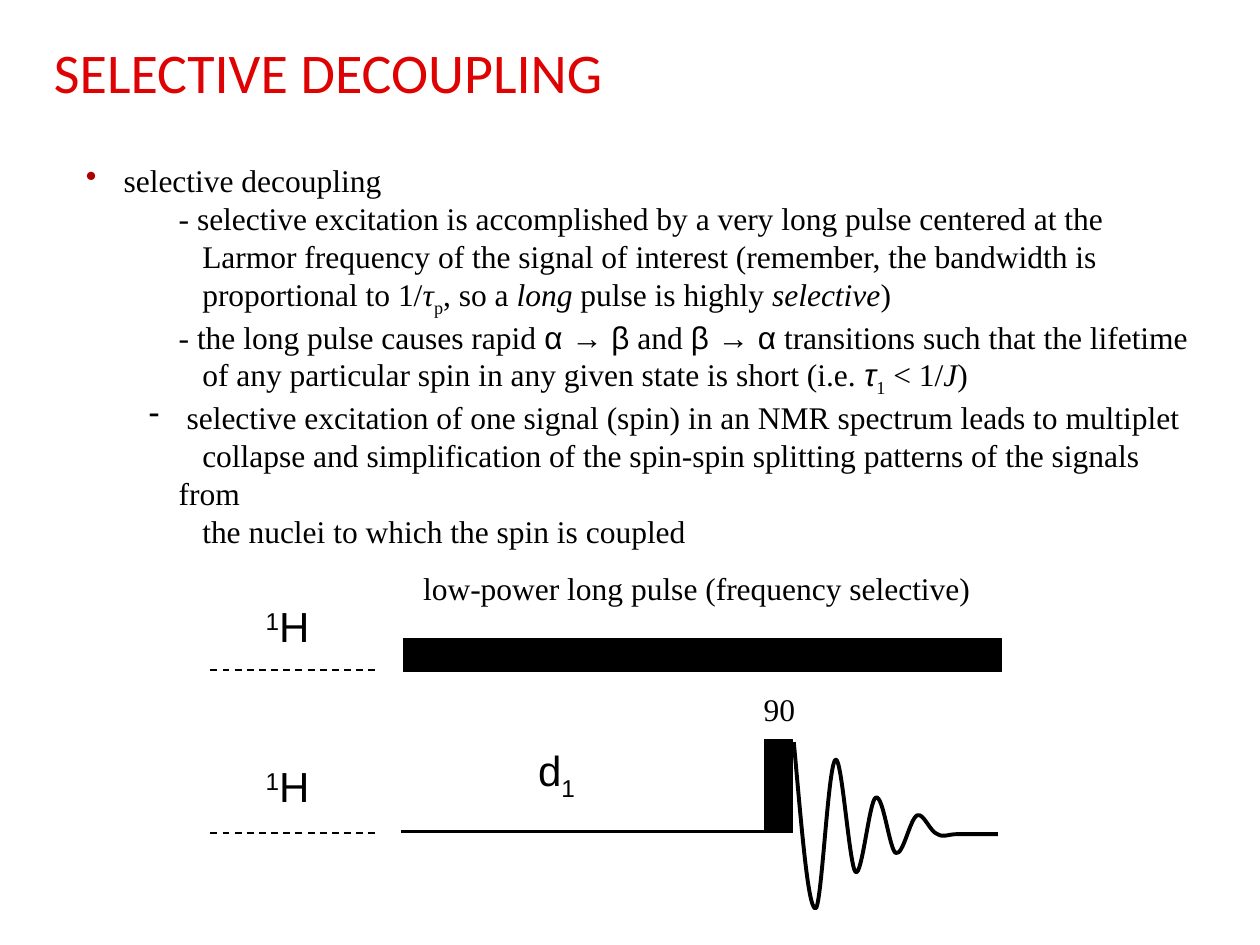
from dataclasses import dataclass

from lxml import etree
from pptx import Presentation
from pptx import util as u
from pptx.dml.color import RGBColor
from pptx.enum import dml, shapes, text
from pptx.oxml import ns

COLS, ROWS = 1000, 750
COLORS = {"title": "DF0202", "bullet": "AE0000", "ink": "000000"}
SERIF, SANS, HEAD = "Times New Roman", "Arial", "Calibri"

prs = Presentation()
prs.slide_width, prs.slide_height = u.Inches(10), u.Inches(7.5)
s = prs.slides.add_slide(prs.slide_layouts[6])


@dataclass(frozen=True)
class Run:
    text: str
    font: str = SERIF
    size: int = 18
    color: str = "ink"
    italic: bool = False
    base: int = 0


@dataclass(frozen=True)
class Para:
    runs: tuple[Run, ...]
    margin: float = 0
    indent: float = 0
    bullet: str = ""
    bullet_color: str = "ink"


@dataclass(frozen=True)
class Box:
    left: int
    top: int
    width: int
    height: int
    paras: tuple[Para, ...]
    inset: tuple[int, int, int, int] = (10, 5, 10, 5)
    wrap: bool = True


@dataclass(frozen=True)
class Line:
    x1: int
    x2: int
    y: int
    weight: float
    dashed: bool = False


@dataclass(frozen=True)
class Pulse:
    left: int
    top: int
    width: int
    height: int


def col(n: float) -> int:
    return round(prs.slide_width * n / COLS)


def row(n: float) -> int:
    return round(prs.slide_height * n / ROWS)


def rgb(name: str) -> RGBColor:
    return RGBColor.from_string(COLORS[name])


def draw_para(p, para: Para) -> None:
    pPr = p._p.get_or_add_pPr()
    pPr.set("marL", str(col(para.margin)))
    pPr.set("indent", str(col(para.indent)))
    if para.bullet:
        clr = etree.SubElement(pPr, ns.qn("a:buClr"))
        etree.SubElement(clr, ns.qn("a:srgbClr"), val=COLORS[para.bullet_color])
        etree.SubElement(pPr, ns.qn("a:buChar"), char=para.bullet)
    for run in para.runs:
        r = p.add_run()
        r.text = run.text
        r.font.name, r.font.size = run.font, u.Pt(run.size)
        r.font.italic = run.italic
        r.font.color.rgb = rgb(run.color)
        if run.base:
            r._r.get_or_add_rPr().set("baseline", str(run.base * 1000))


def draw_box(box: Box) -> None:
    tf = s.shapes.add_textbox(col(box.left), row(box.top), col(box.width), row(box.height)).text_frame
    tf.word_wrap = box.wrap
    tf.auto_size = text.MSO_AUTO_SIZE.NONE
    left, top, right, bottom = box.inset
    tf.margin_left, tf.margin_right = col(left), col(right)
    tf.margin_top, tf.margin_bottom = row(top), row(bottom)
    for i, para in enumerate(box.paras):
        draw_para(tf.add_paragraph() if i else tf.paragraphs[0], para)


def draw_line(line: Line) -> None:
    c = s.shapes.add_connector(shapes.MSO_CONNECTOR.STRAIGHT, col(line.x1), row(line.y), col(line.x2), row(line.y))
    c.line.color.rgb, c.line.width = rgb("ink"), u.Pt(line.weight)
    if line.dashed:
        c.line.dash_style = dml.MSO_LINE.DASH
    etree.SubElement(c._element.spPr, ns.qn("a:effectLst"))


def draw_pulse(pulse: Pulse) -> None:
    sp = s.shapes.add_shape(shapes.MSO_SHAPE.RECTANGLE, col(pulse.left), row(pulse.top), col(pulse.width), row(pulse.height))
    sp.shadow.inherit = False
    sp.fill.solid()
    sp.fill.fore_color.rgb = sp.line.color.rgb = rgb("ink")
    sp.line.width = u.Pt(0.75)


def draw_decay(start: tuple[int, int], points: list[tuple[int, int]]) -> None:
    builder = s.shapes.build_freeform(col(start[0]), row(start[1]))
    builder.add_line_segments([(col(x), row(y)) for x, y in points], close=False)
    sp = builder.convert_to_shape()
    segments = list(sp._element.iter(ns.qn("a:lnTo")))
    outline = segments[0].getparent()
    for i in range(0, len(segments), 3):
        curve = etree.SubElement(outline, ns.qn("a:cubicBezTo"))
        for segment in segments[i:i + 3]:
            curve.append(segment[0])
            outline.remove(segment)
    sp.shadow.inherit = False
    sp.fill.background()
    sp.line.color.rgb, sp.line.width = rgb("ink"), u.Pt(2.25)


def item(*runs: Run) -> Para:
    return Para(runs, 100)


def follow(*runs: Run) -> Para:
    return Para(runs, 100, 18.75)


def label(left: int, top: int, width: int, height: int, *runs: Run, **options) -> Box:
    return Box(left, top, width, height, (Para(runs),), **options)


FLAT = (0, 0, 0, 0)
BODY = (
    Para((Run("selective decoupling"),), 56.25, -30, "•", "bullet"),
    item(Run("- selective excitation is accomplished by a very long pulse centered at the")),
    follow(Run("Larmor frequency of the signal of interest (remember, the bandwidth is")),
    follow(Run("proportional to 1/"), Run("τ", italic=True), Run("p", base=-25), Run(", so a "),
           Run("long", italic=True), Run(" pulse is highly "), Run("selective", italic=True), Run(")")),
    item(Run("- the long pulse causes rapid "), Run("α → β", SANS), Run(" and "), Run("β → α", SANS),
         Run(" transitions such that the lifetime")),
    follow(Run("of any particular spin in any given state is short (i.e. "), Run("τ", SANS, italic=True),
           Run("1", base=-25), Run(" < 1/"), Run("J", italic=True), Run(")")),
    Para((Run("selective excitation of one signal (spin) in an NMR spectrum leads to multiplet"),), 106.25, -30, "-"),
    follow(Run("collapse and simplification of the spin-spin splitting patterns of the signals from")),
    follow(Run("the nuclei to which the spin is coupled")),
)
PROTON = (Run("1", SANS, 24, base=30), Run("H", SANS, 24))
BOXES = [
    Box(32, 93, 936, 348, BODY, inset=(10, 35, 15, 5)),
    label(33, 25, 575, 64, Run("SELECTIVE DECOUPLING", HEAD, 32, "title")),
    label(606, 548, 39, 36, Run("90"), inset=FLAT),
    label(427, 591, 32, 46, Run("d", SANS, 24), Run("1", SANS, 24, base=-25), inset=FLAT),
    *(label(201, top, 55, 50, *PROTON, wrap=False) for top in (472, 599)),
    label(326, 447, 467, 40, Run("low-power long pulse (frequency selective)")),
]
LINES = [Line(318, 628, 660, 2), *(Line(167, 300, y, 1, True) for y in (661, 532))]
PULSES = [Pulse(607, 587, 22, 74), Pulse(320, 507, 475, 26)]
DECAY = [
    (636, 654), (641, 719), (647, 721), (652, 724), (657, 608), (663, 603),
    (668, 598), (674, 687), (679, 692), (684, 697), (690, 635), (695, 633),
    (701, 630), (706, 675), (711, 677), (717, 679), (722, 650), (728, 647),
    (733, 645), (738, 660), (744, 662), (749, 665), (752, 662), (760, 662),
    (768, 662), (787, 662), (792, 662),
]

for line in LINES:
    draw_line(line)
draw_decay((630, 589), DECAY)
for pulse in PULSES:
    draw_pulse(pulse)
for box in BOXES:
    draw_box(box)
prs.save("out.pptx")
